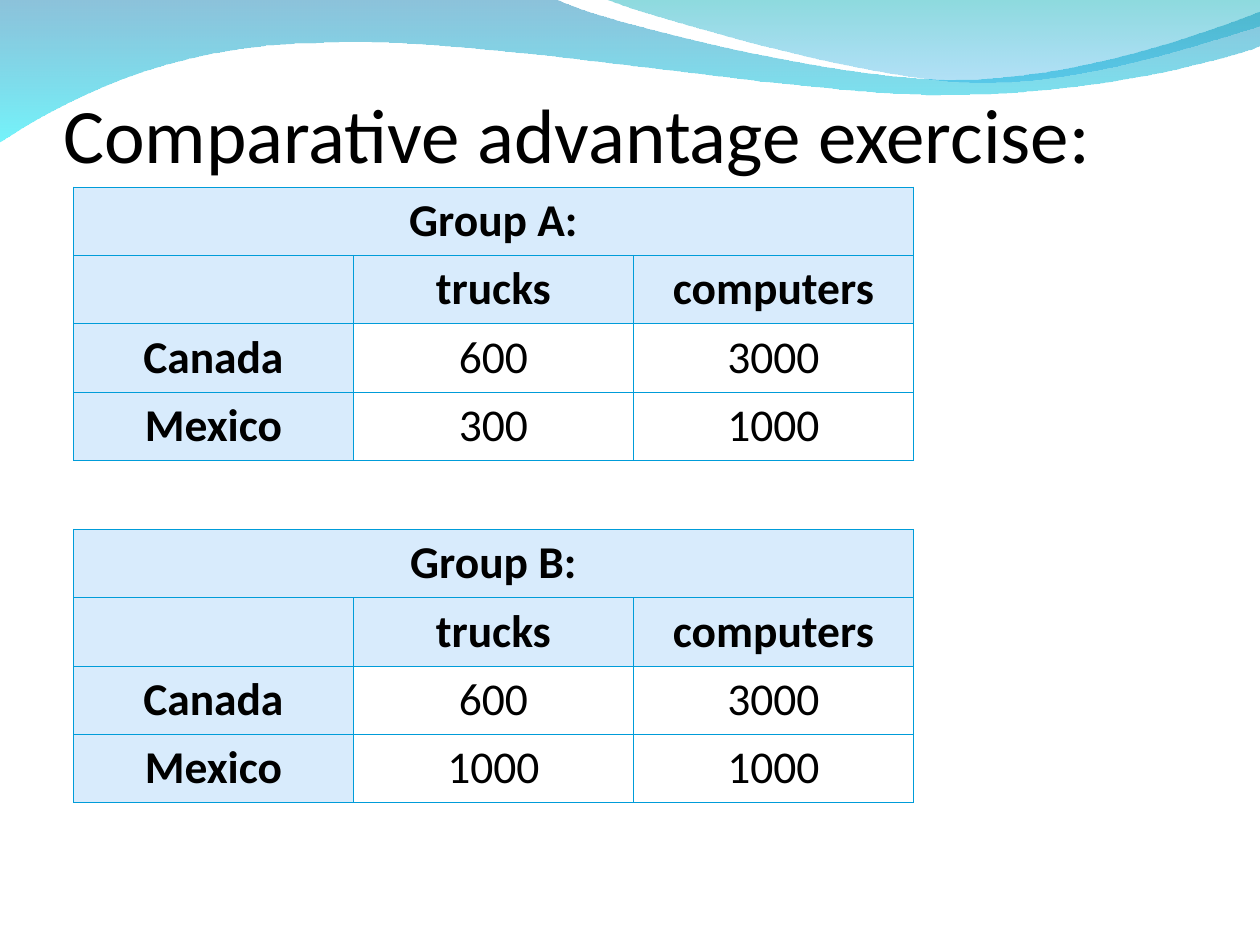
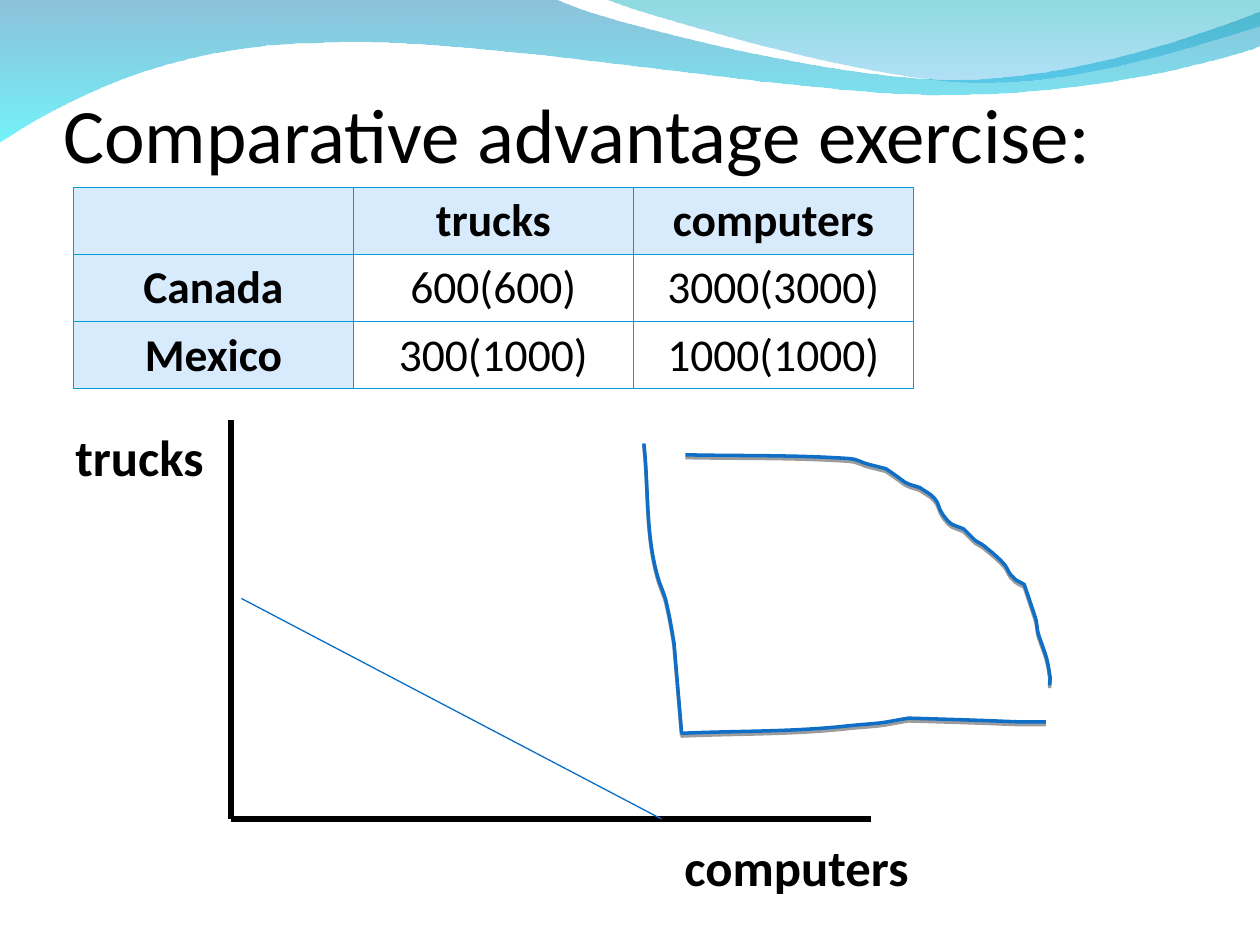
from lxml.etree import SubElement
from pptx import Presentation
from pptx.dml.color import RGBColor
from pptx.enum.shapes import MSO_CONNECTOR
from pptx.enum.text import MSO_ANCHOR, MSO_AUTO_SIZE, PP_ALIGN
from pptx.oxml.ns import qn
from pptx.util import Emu, Inches, Pt

COLORS = {
    "text": "000000",
    "paper": "FFFFFF",
    "heading": "D8EBFC",
    "border": "009CD9",
    "frontier": "0A6DC6",
    "sketch": "0F6FC6",
}
FONT = "Calibri"
GRID = (120, 90)
FINE_GRID = (1000, 750)
TABLE_TOP = 17.8

WAVES = [
    {
        "stops": [("0079AF", 45), ("00EBF8", 55)],
        "start": (0, -1),
        "segments": [
            [(440, -1)],
            [(476, 17), (664, 63), (758, 63)],
            [(853, 63), (958, 26), (1000, 9)],
            [(1001, 36)],
            [(983, 44), (870, 76), (746, 75)],
            [(622, 75), (382, 28), (257, 34)],
            [(129, 35), (46, 83), (-1, 113)],
        ],
    },
    {
        "stops": [("00ADB6", 45), ("009BE5", 30)],
        "start": (479, -1),
        "segments": [
            [(509, 11), (682, 62), (769, 65)],
            [(856, 69), (961, 32), (1000, 21)],
            [(1000, 0)],
        ],
    },
]
SKETCHED_AXES = [
    [(515, 388), (512, 426), (523, 461)],
    [(525, 467), (528, 473), (529, 479)],
    [(531, 487), (534, 504), (535, 511)],
    [(537, 535), (541, 582), (541, 582)],
    [(585, 580), (630, 581), (674, 576)],
    [(707, 573), (692, 575), (721, 570)],
    [(826, 573), (790, 573), (830, 573)],
]
SKETCHED_FRONTIER = [
    [(587, 362), (630, 361), (674, 364)],
    [(680, 364), (685, 368), (691, 369)],
    [(703, 372)],
    [(724, 386), (714, 382), (730, 387)],
    [(734, 390), (739, 392), (742, 396)],
    [(745, 399), (745, 404), (748, 408)],
    [(755, 418), (756, 416), (765, 420)],
    [(768, 423), (771, 426), (774, 429)],
    [(777, 431), (780, 432), (783, 435)],
    [(788, 439), (794, 444), (798, 449)],
    [(800, 452), (801, 456), (804, 458)],
    [(806, 461), (810, 462), (813, 464)],
    [(819, 482)],
    [(820, 485), (821, 488), (822, 491)],
    [(823, 495), (823, 499), (824, 503)],
    [(829, 518), (831, 520), (833, 535)],
    [(834, 538), (833, 541), (833, 544)],
]
GOODS = ["", "trucks", "computers"]


def color(name):
    """Return the named palette colour."""
    return RGBColor.from_string(COLORS[name])


def bend(outline, segments):
    """Turn each three-point run of an outline into one cubic curve."""
    path_element = next(outline.element.iter(qn("a:path")))
    lines = iter(path_element.findall(qn("a:lnTo")))
    for segment in segments:
        run = [next(lines) for _ in segment]
        if len(run) == 3:
            curve = SubElement(path_element, qn("a:cubicBezTo"))
            run[0].addprevious(curve)
            for line in run:
                curve.append(line[0])
                path_element.remove(line)


class SlideBuilder:
    """Hold the deck style and draw elements on the current slide."""

    def __init__(self):
        """Start a deck with a title-only layout."""
        self.deck = Presentation()
        self.deck.slide_width, self.deck.slide_height = Inches(10), Inches(7.5)
        self.layout = self.deck.slide_layouts[5]
        self.page = None

    def place(self, x, y, grid=GRID):
        """Convert a grid position or size to slide lengths."""
        return (Emu(round(self.deck.slide_width * x / grid[0])),
                Emu(round(self.deck.slide_height * y / grid[1])))

    def style(self, paragraph, size, bold=False, align=PP_ALIGN.LEFT):
        """Format a whole paragraph."""
        paragraph.alignment = align
        font = paragraph.font
        font.name, font.size, font.bold = FONT, Pt(size), bold
        font.color.rgb = color("text")

    def add_page(self, title):
        """Add a slide and its title."""
        self.page = self.deck.slides.add_slide(self.layout)
        box = self.page.shapes.title
        box.left, box.top = self.place(6, 9.25)
        box.width, box.height = self.place(108, 7.75)
        frame = box.text_frame
        frame.text = title
        frame.vertical_anchor = MSO_ANCHOR.BOTTOM
        frame.auto_size = MSO_AUTO_SIZE.NONE
        frame.margin_left = frame.margin_right = frame.margin_bottom = 0
        frame.margin_top = Inches(0.05)
        self.style(frame.paragraphs[0], 44)

    def add_outline(self, start, segments, close):
        """Draw a curved outline on the fine grid."""
        points = [self.place(x, y, FINE_GRID) for segment in segments for x, y in segment]
        builder = self.page.shapes.build_freeform(*self.place(*start, FINE_GRID))
        builder.add_line_segments(points, close=close)
        outline = builder.convert_to_shape()
        bend(outline, segments)
        outline.shadow.inherit = False
        return outline

    def add_waves(self):
        """Draw the top waves and move them to the shared layout."""
        for position, wave in enumerate(WAVES, start=2):
            shape = self.add_outline(wave["start"], wave["segments"], close=True)
            shape.fill.gradient()
            shape.fill.gradient_angle = 270
            for stop, (tint, _) in zip(shape.fill.gradient_stops, wave["stops"]):
                stop.color.rgb = RGBColor.from_string(tint)
            for tint, (_, opacity) in zip(shape.element.iter(qn("a:srgbClr")), wave["stops"]):
                SubElement(tint, qn("a:alpha"), val=str(opacity * 1000))
            shape.line.fill.background()
            self.layout.shapes.element.insert(position, shape.element)

    def add_sketch(self, start, segments):
        """Draw a freehand stroke with a small shadow."""
        stroke = self.add_outline(start, segments, close=False)
        stroke.fill.background()
        stroke.line.color.rgb = color("sketch")
        stroke.line.width = Pt(2)
        effects = stroke.element.spPr.find(qn("a:effectLst"))
        shadow = SubElement(effects, qn("a:outerShdw"), blurRad="0", dist="20000",
                            dir="5400000", rotWithShape="0")
        tint = SubElement(shadow, qn("a:srgbClr"), val=COLORS["text"])
        SubElement(tint, qn("a:alpha"), val="38000")

    def add_line(self, start, end, tint, width):
        """Draw a straight line between two grid points."""
        line = self.page.shapes.add_connector(
            MSO_CONNECTOR.STRAIGHT, *self.place(*start), *self.place(*end))
        line.line.color.rgb = color(tint)
        line.line.width = Pt(width)
        SubElement(line.element.spPr, qn("a:effectLst"))

    def add_label(self, text, x, y, width):
        """Write a bold axis label."""
        box = self.page.shapes.add_textbox(*self.place(x, y), *self.place(width, 7))
        frame = box.text_frame
        frame.word_wrap = True
        frame.auto_size = MSO_AUTO_SIZE.SHAPE_TO_FIT_TEXT
        frame.text = text
        self.style(frame.paragraphs[0], 29, bold=True)

    def add_border(self, cell):
        """Put a thin line on each side of a cell."""
        properties = cell._tc.get_or_add_tcPr()
        for side in ("lnL", "lnR", "lnT", "lnB"):
            line = SubElement(properties, qn(f"a:{side}"), w=str(Pt(0.34)))
            fill = SubElement(line, qn("a:solidFill"))
            SubElement(fill, qn("a:srgbClr"), val=COLORS["border"])

    def add_output_table(self, top, countries, group=None):
        """Tabulate output by country, under an optional group heading."""
        headings = [[group, "", ""], GOODS] if group else [GOODS]
        rows = headings + countries
        frame = self.page.shapes.add_table(
            len(rows), len(GOODS), *self.place(7, top), *self.place(80, 6.4 * len(rows)))
        table = frame.table
        for row_index, values in enumerate(rows):
            for column_index, value in enumerate(values):
                cell = table.cell(row_index, column_index)
                heading = row_index < len(headings) or column_index == 0
                self.add_border(cell)
                cell.fill.solid()
                cell.fill.fore_color.rgb = color("heading" if heading else "paper")
                if value:
                    cell.text = value
                    self.style(cell.text_frame.paragraphs[0], 26, heading, PP_ALIGN.CENTER)
        if group:
            table.cell(0, 0).merge(table.cell(0, len(GOODS) - 1))


def main():
    """Build and save the deck."""
    builder = SlideBuilder()
    title = "Comparative advantage exercise:"
    canada = ["Canada", "600", "3000"]

    builder.add_page(title)
    builder.add_waves()
    builder.add_output_table(TABLE_TOP, [canada, ["Mexico", "300", "1000"]], "Group A:")
    builder.add_output_table(50.4, [canada, ["Mexico", "1000", "1000"]], "Group B:")

    builder.add_page(title)
    origin = (22, 78)
    builder.add_line((22, 40), origin, "text", 3)
    builder.add_line(origin, (83, 78), "text", 3)
    builder.add_label("trucks", 6, 40, 16)
    builder.add_label("computers", 64, 79, 26)
    builder.add_output_table(TABLE_TOP, [["Canada", "600(600)", "3000(3000)"],
                                         ["Mexico", "300(1000)", "1000(1000)"]])
    builder.add_line((23, 57), (63, 78), "frontier", 0.75)
    builder.add_sketch((511, 352), SKETCHED_AXES)
    builder.add_sketch((544, 361), SKETCHED_FRONTIER)
    builder.deck.save("out.pptx")


if __name__ == "__main__":
    main()
